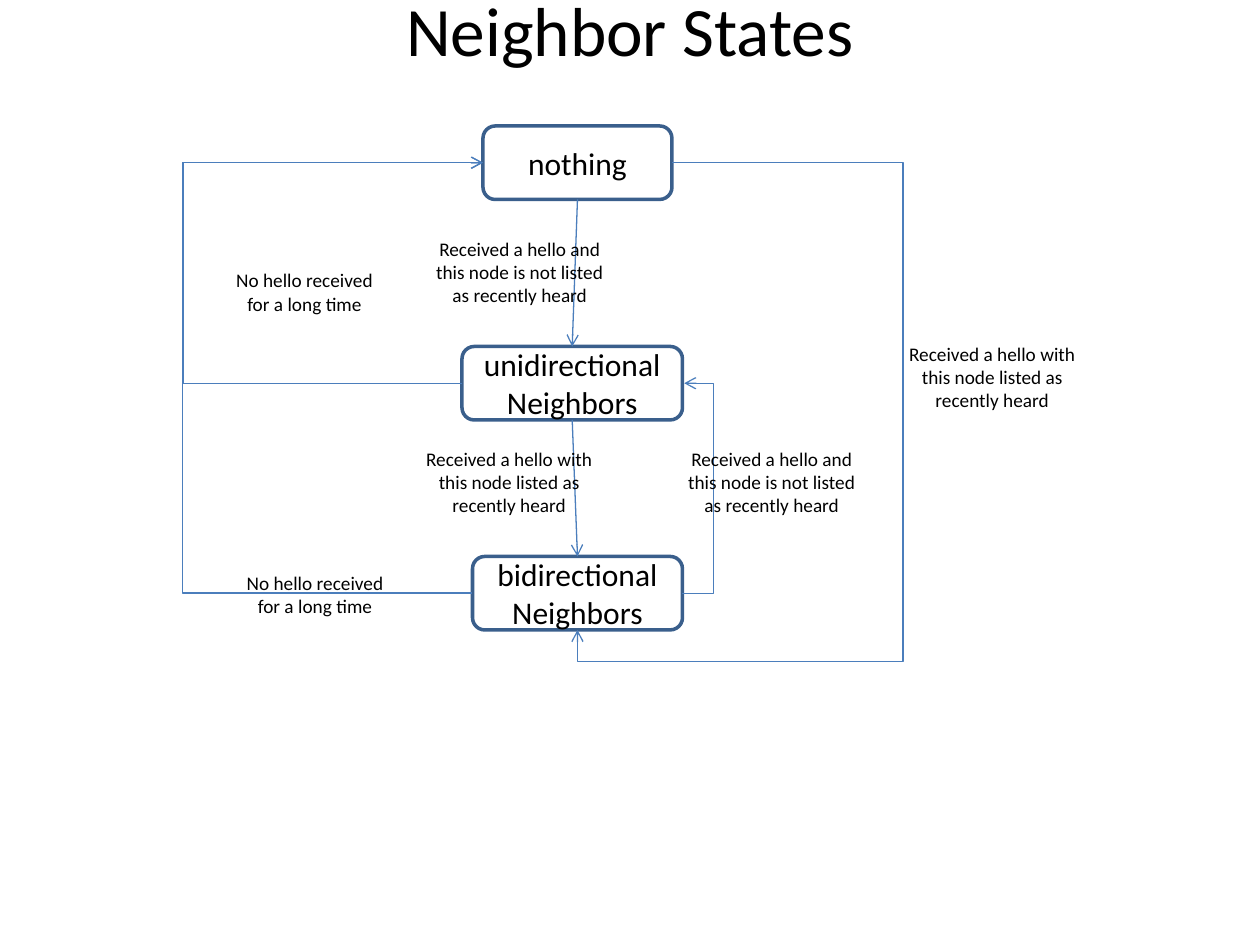
"""Build the neighbor states diagram slide."""
from lxml.etree import SubElement
from pptx import Presentation
from pptx.dml.color import RGBColor
from pptx.enum.shapes import MSO_CONNECTOR, MSO_SHAPE
from pptx.enum.text import MSO_ANCHOR, PP_ALIGN
from pptx.oxml.ns import qn
from pptx.util import Pt

COLORS = {"text": "000000", "edge": "3A5F8C", "wire": "4B7EBC"}


def style(frame, text, size):
    frame.text = text
    frame.word_wrap = True
    para = frame.paragraphs[0]
    para.alignment = PP_ALIGN.CENTER
    para.font.size = Pt(size)
    para.font.name = "Calibri"
    para.font.color.rgb = RGBColor.from_string(COLORS["text"])


def link(kind, start, end):
    wire = slide.shapes.add_connector(kind, *[Pt(v) for v in start + end])
    wire.line.color.rgb = RGBColor.from_string(COLORS["wire"])
    wire.line.width = Pt(0.75)
    props = wire._element.spPr
    SubElement(props.find(qn("a:ln")), qn("a:tailEnd"), type="arrow")
    SubElement(props, qn("a:effectLst"))
    return wire


prs = Presentation()
prs.slide_width, prs.slide_height = Pt(720), Pt(540)
slide = prs.slides.add_slide(prs.slide_layouts[5])

title = slide.shapes.title
title.left, title.top, title.width, title.height = Pt(36), Pt(-6), Pt(648), Pt(45)
style(title.text_frame, "Neighbor States", 39.6)
title.text_frame.vertical_anchor = MSO_ANCHOR.MIDDLE

states = [
    ("nothing", 276, 72, 108),
    ("unidirectional\vNeighbors", 264, 198, 126),
    ("bidirectional\vNeighbors", 270, 318, 120),
]
boxes = []
for text, left, top, width in states:
    box = slide.shapes.add_shape(
        MSO_SHAPE.ROUNDED_RECTANGLE, Pt(left), Pt(top), Pt(width), Pt(42))
    box.shadow.inherit = False
    box.fill.background()
    box.line.color.rgb = RGBColor.from_string(COLORS["edge"])
    box.line.width = Pt(2)
    style(box.text_frame, text, 18)
    box.text_frame.vertical_anchor = MSO_ANCHOR.MIDDLE
    boxes.append(box)

for upper, lower in zip(boxes, boxes[1:]):
    wire = link(MSO_CONNECTOR.STRAIGHT, (0, 0), (9, 9))
    wire.begin_connect(upper, 2)
    wire.end_connect(lower, 0)

bends = [
    ((384, 93), (330, 360), (516, 378)),
    ((264, 219), (276, 93), (104.5, None)),
    ((270, 339), (276, 93), (104.5, None)),
    ((390, 339), (391, 219), (408, None)),
]
for start, end, via in bends:
    wire = link(MSO_CONNECTOR.ELBOW, start, end)
    geom = wire._element.spPr.find(qn("a:prstGeom"))
    geom.set("prst", "bentConnector3" if via[1] is None else "bentConnector4")
    guides = geom.get_or_add_avLst()
    for num, (a, b, mid) in enumerate(zip(start, end, via), 1):
        if mid is not None:
            ratio = round((mid - a) / (b - a) * 100000)
            SubElement(guides, qn("a:gd"), name=f"adj{num}", fmla=f"val {ratio}")

unheard = "Received a hello and this node is not listed as recently heard"
heard = "Received a hello with this node listed as recently heard"
silent = "No hello received for a long time"
labels = [
    (unheard, 240, 132, 114, 47.5),
    (heard, 234, 252, 114, 47.5),
    (silent, 126, 150, 96, 34),
    (heard, 510, 192, 114, 47.5),
    (silent, 132, 323, 96, 34),
    (unheard, 384, 252, 114, 47.5),
]
for text, *place in labels:
    note = slide.shapes.add_textbox(*[Pt(v) for v in place])
    style(note.text_frame, text, 11)

prs.save("out.pptx")
